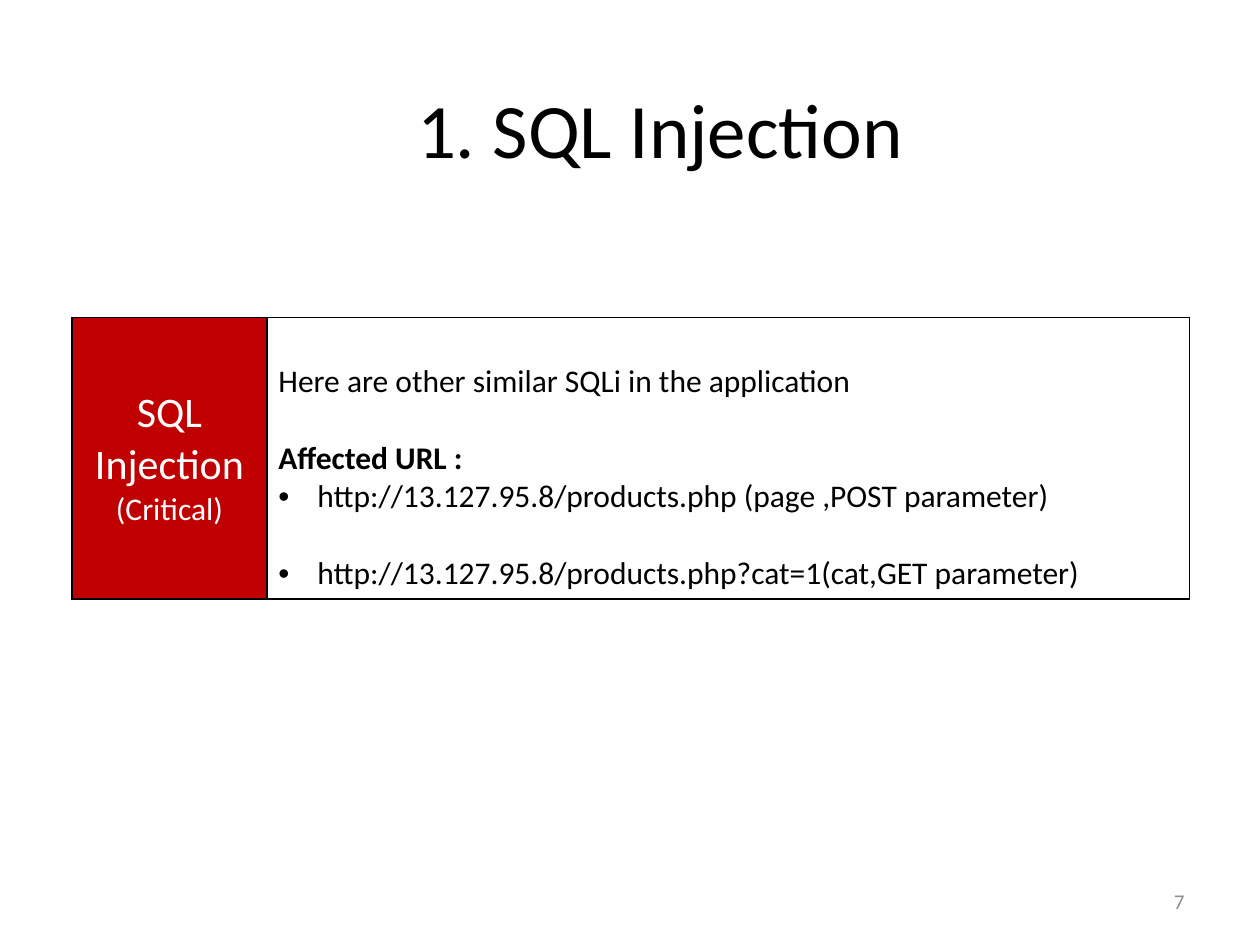
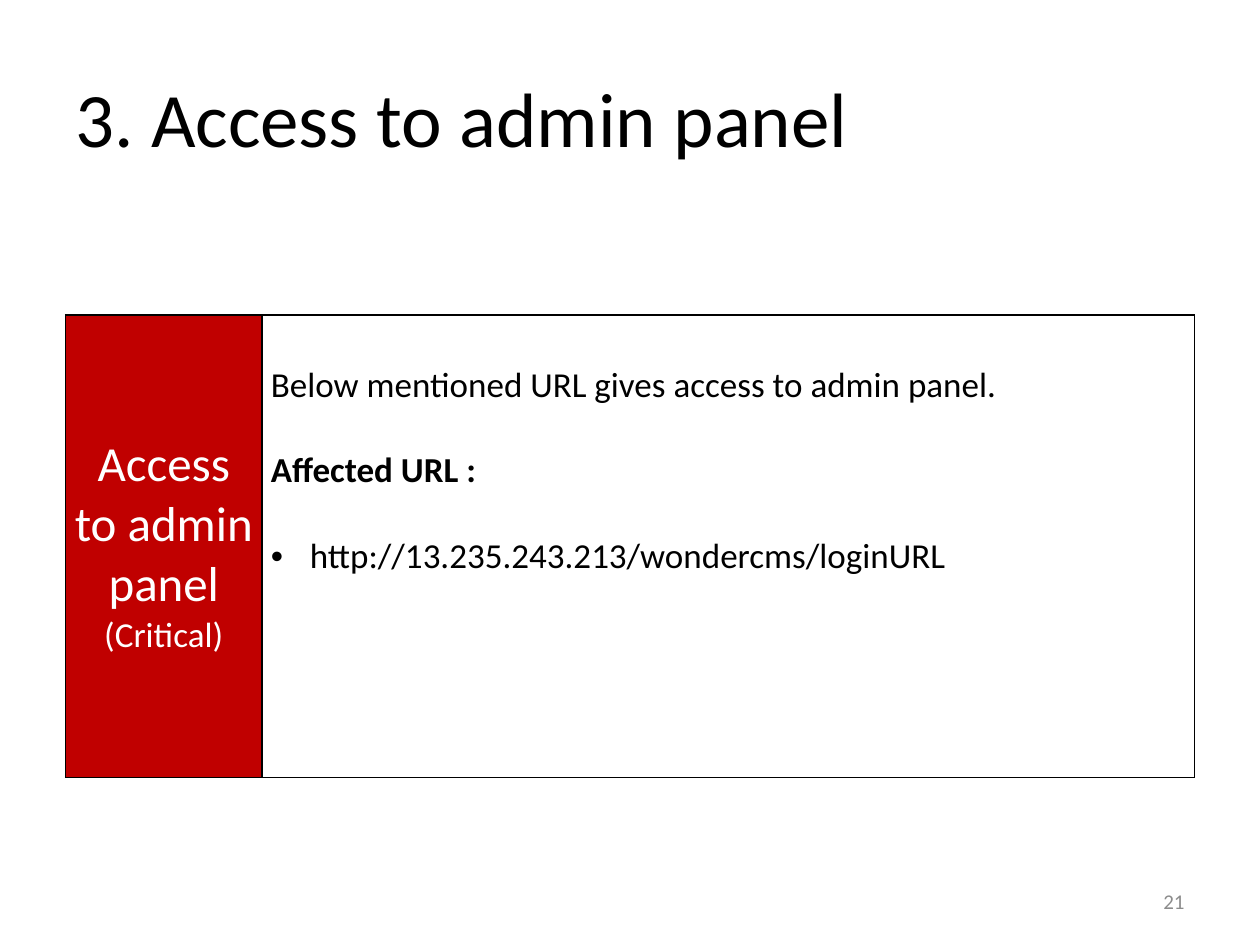
from lxml import etree
from pptx import Presentation
from pptx.dml.color import RGBColor
from pptx.enum.text import MSO_ANCHOR as Anchor, PP_ALIGN as Align
from pptx.oxml.ns import qn
from pptx.util import Inches, Pt

COLORS = {
    "ink": "000000",
    "critical": "C00000",
    "paper": "FFFFFF",
    "page": "8C8C8C",
}
FONT = "Calibri"
LINE_RATIO = 1.22


class ReportDeck:
    def __init__(self):
        self.deck = Presentation()
        self.deck.slide_width = Inches(10)
        self.deck.slide_height = Inches(7.5)
        self.slide = None

    def color(self, name):
        return RGBColor.from_string(COLORS[name])

    def new_slide(self):
        self.slide = self.deck.slides.add_slide(self.deck.slide_layouts[6])

    def style(self, paragraph, size, color, align=Align.LEFT, bold=False):
        paragraph.alignment = align
        for run in paragraph.runs:
            run.font.name = FONT
            run.font.size = Pt(size)
            run.font.bold = bold
            run.font.color.rgb = self.color(color)

    def text(self, words, place, size, color, align):
        frame = self.slide.shapes.add_textbox(*map(Inches, place)).text_frame
        frame.word_wrap = True
        frame.vertical_anchor = Anchor.MIDDLE
        frame.text = words
        self.style(frame.paragraphs[0], size, color, align)

    def title(self, words, place, align):
        self.text(words, place, 44, "ink", align)

    def page_number(self, number):
        self.text(str(number), (7.17, 6.95, 2.33, 0.4), 12, "page", Align.RIGHT)

    def bullet(self, paragraph):
        properties = paragraph._p.get_or_add_pPr()
        properties.set("marL", str(Inches(0.31)))
        properties.set("indent", str(-Inches(0.31)))
        etree.SubElement(properties, qn("a:buFont"), typeface="Arial")
        etree.SubElement(properties, qn("a:buChar"), char="•")

    def border(self, cell):
        properties = cell._tc.get_or_add_tcPr()
        for side in ("lnL", "lnR", "lnT", "lnB"):
            line = etree.SubElement(properties, qn(f"a:{side}"), w=str(Pt(1)))
            fill = etree.SubElement(line, qn("a:solidFill"))
            etree.SubElement(fill, qn("a:srgbClr"), val=COLORS["ink"])

    def panel_cell(self, cell, fill, side_margin):
        self.border(cell)
        cell.fill.solid()
        cell.fill.fore_color.rgb = self.color(fill)
        cell.margin_left = cell.margin_right = Inches(side_margin)

    def finding(self, place, columns, rows, name, details, name_size, size, margin):
        table = self.slide.shapes.add_table(2, 2, *map(Inches, place)).table
        table.first_row = table.horz_banding = False
        for column, width in zip(table.columns, columns):
            column.width = Inches(width)
        for row, height in zip(table.rows, rows):
            row.height = Inches(height)
        for spacer in table.rows[0].cells:
            spacer.fill.background()

        severity, description = table.rows[1].cells
        self.panel_cell(severity, "critical", margin)
        severity.vertical_anchor = Anchor.MIDDLE
        severity.text = f"{name}\n(Critical)"
        for paragraph, points in zip(severity.text_frame.paragraphs, (name_size, size)):
            self.style(paragraph, points, "paper", Align.CENTER)

        self.panel_cell(description, "paper", margin)
        line_height = Pt(size * LINE_RATIO)
        description.margin_top = Inches(0.05) + line_height
        description.text = "\n".join(words for words, kind, gap in details)
        for paragraph, (words, kind, gap) in zip(description.text_frame.paragraphs, details):
            if gap:
                paragraph.space_before = line_height
            if kind == "bullet":
                self.bullet(paragraph)
            self.style(paragraph, size, "ink", bold=kind == "heading")

    def save(self):
        self.deck.save("out.pptx")


def main():
    report = ReportDeck()

    report.new_slide()
    report.finding(
        (0.57, 2.02, 8.87, 2.72), (1.55, 7.32), (0.5, 2.22),
        "SQL Injection",
        [
            ("Here are other similar SQLi in the application", "plain", False),
            ("Affected URL :", "heading", True),
            ("http://13.127.95.8/products.php (page ,POST parameter)", "bullet", False),
            ("http://13.127.95.8/products.php?cat=1(cat,GET parameter)", "bullet", True),
        ],
        name_size=24, size=18, margin=0.09,
    )
    report.title("1. SQL Injection", (-0.51, 0.29, 11.5, 1.45), Align.CENTER)
    report.page_number(7)

    report.new_slide()
    report.title("3. Access to admin panel", (0.5, 0.3, 9, 1.25), Align.LEFT)
    report.finding(
        (0.52, 1.94, 8.96, 4.23), (1.56, 7.4), (0.56, 3.67),
        "Access to admin panel",
        [
            ("Below mentioned URL gives access to admin panel.", "plain", False),
            ("Affected URL :", "heading", True),
            ("http://13.235.243.213/wondercms/loginURL", "bullet", True),
        ],
        name_size=28, size=20, margin=0.07,
    )
    report.page_number(21)

    report.save()


if __name__ == "__main__":
    main()
